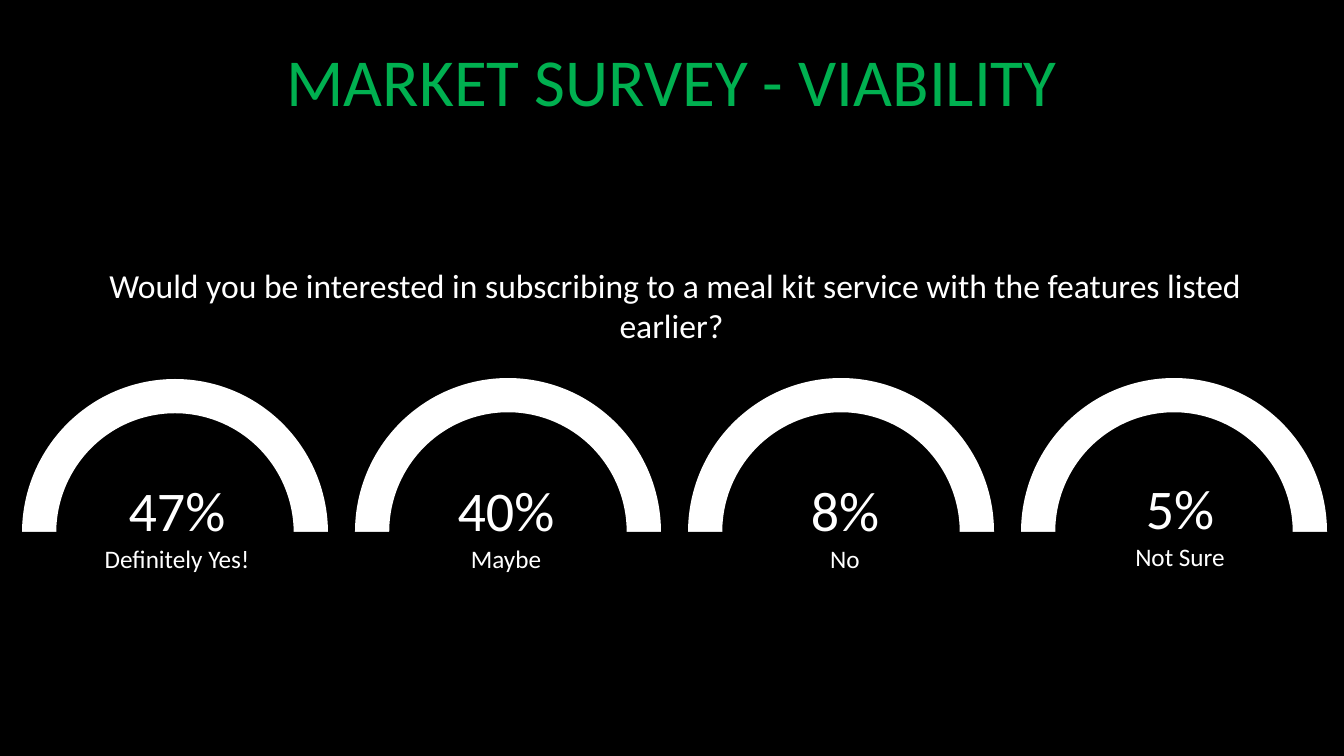
from pptx import Presentation
from pptx.dml.color import RGBColor
from pptx.enum.shapes import MSO_SHAPE
from pptx.enum.text import PP_ALIGN
from pptx.util import Emu, Pt

EMU_PER_PX = 914400 / 100.8
PAGE_WIDTH, PAGE_HEIGHT = 1344, 756
BLANK_LAYOUT = 6

DONUT = MSO_SHAPE.DONUT
RECTANGLE = MSO_SHAPE.RECTANGLE
CENTER = PP_ALIGN.CENTER

BLACK = RGBColor(0x00, 0x00, 0x00)
WHITE = RGBColor(0xFF, 0xFF, 0xFF)
GREEN = RGBColor(0x00, 0xB0, 0x50)
FONT_NAME = "Calibri"

GAUGE_LEFT, GAUGE_PITCH = 22, 333
GAUGE_WIDTH, GAUGE_HEIGHT = 306, 308
RING_THICKNESS = 0.112
HORIZON = 532

# share, answer, ring top, caption left, caption top
ANSWERS = [
    ("47%", "Definitely Yes!", 379, 24, 471),
    ("40%", "Maybe", 378, 353, 471),
    ("8%", "No", 378, 692, 471),
    ("5%", "Not Sure", 378, 1027, 469),
]


def px(length):
    return Emu(round(length * EMU_PER_PX))


def add_solid(page, kind, left, top, width, height, color):
    """Add a flat preset shape with no outline."""
    shape = page.shapes.add_shape(kind, px(left), px(top), px(width), px(height))
    shape.shadow.inherit = False
    shape.fill.solid()
    shape.fill.fore_color.rgb = color
    shape.line.fill.background()
    return shape


def add_text(page, left, top, width, height, lines, color=WHITE):
    """Add centred text; lines holds (text, point size) pairs."""
    box = page.shapes.add_textbox(px(left), px(top), px(width), px(height))
    frame = box.text_frame
    frame.word_wrap = True
    for index, (text, size) in enumerate(lines):
        para = frame.add_paragraph() if index else frame.paragraphs[0]
        para.alignment = CENTER
        span = para.add_run()
        span.text = text
        for name, value in {"name": FONT_NAME, "size": Pt(size)}.items():
            setattr(span.font, name, value)
        span.font.color.rgb = color


def add_ring(page, index, top):
    left = GAUGE_LEFT + index * GAUGE_PITCH
    ring = add_solid(page, DONUT, left, top, GAUGE_WIDTH, GAUGE_HEIGHT, WHITE)
    ring.adjustments[0] = RING_THICKNESS


def main():
    deck = Presentation()
    deck.slide_width, deck.slide_height = px(PAGE_WIDTH), px(PAGE_HEIGHT)
    page = deck.slides.add_slide(deck.slide_layouts[BLANK_LAYOUT])
    page.background.fill.solid()
    page.background.fill.fore_color.rgb = BLACK

    for index, (_, _, ring_top, _, _) in enumerate(ANSWERS):
        add_ring(page, index, ring_top)
    # The black band turns the rings into half-circle gauges.
    add_solid(page, RECTANGLE, 0, HORIZON, PAGE_WIDTH, 167, BLACK)

    question = (" Would you be interested in subscribing to a meal kit service "
                "with the features listed earlier?")
    add_text(page, 44, 260, 1255, 92, [(question, 24)])
    for share, answer, _, left, top in ANSWERS:
        add_text(page, left, top, GAUGE_WIDTH, 109, [(share, 40), (answer, 18)])
    add_text(page, 167, 34, 1010, 92, [("MARKET SURVEY - VIABILITY", 48)], GREEN)

    deck.save("out.pptx")


if __name__ == "__main__":
    main()
